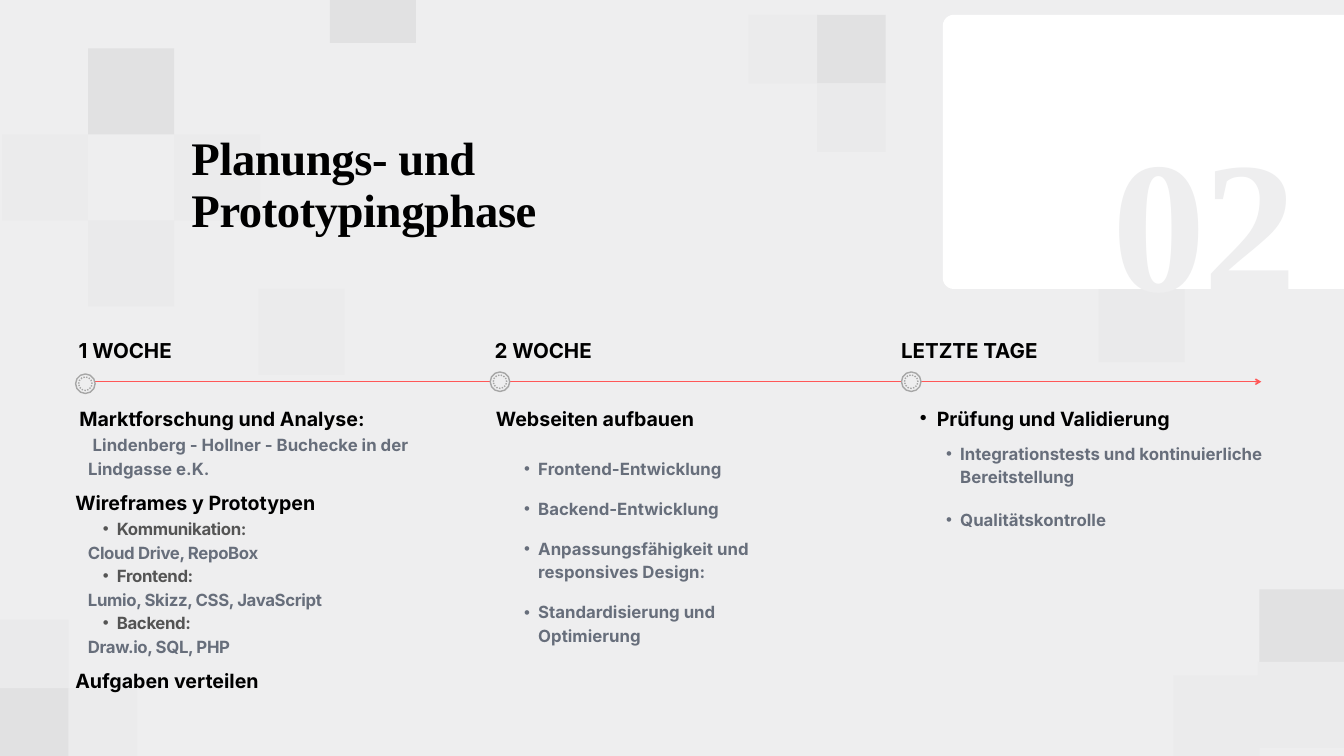
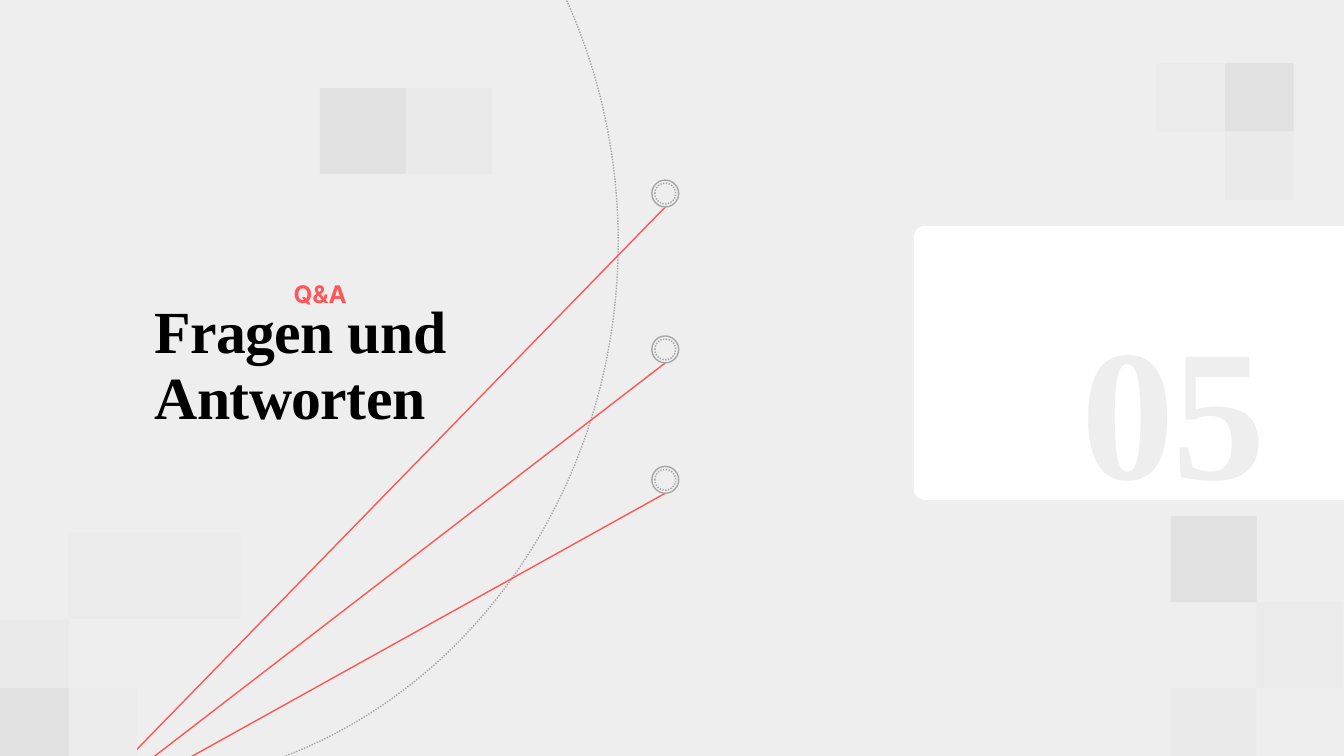
from dataclasses import dataclass, replace

from lxml import etree
from pptx import Presentation
from pptx.dml.color import RGBColor
from pptx.enum.dml import MSO_LINE_DASH_STYLE as Dash
from pptx.enum.shapes import MSO_CONNECTOR, MSO_SHAPE
from pptx.enum.text import MSO_AUTO_SIZE, PP_ALIGN
from pptx.oxml.ns import qn
from pptx.util import Inches, Pt

# Shared colours and sizes
BACKGROUND = "EEEEEF"
DARK, MID, LIGHT = "E1E1E2", "EBEBEC", "EAEAEB"
BLACK, SLATE, CHARCOAL = "000000", "676E7B", "545454"
GRAY, RED, WHITE = "A6A6A6", "FF5757", "FFFFFF"
SMALL_TILE, LARGE_TILE = 1.02, 1.28
CORNER = [(0, 1, DARK), (1, 1, MID), (0, 0, LIGHT)]
HOOK = [(1, 0, DARK), (0, 0, MID), (1, 1, LIGHT)]


@dataclass(frozen=True)
class Style:
    size: float
    line: float
    color: str
    font: str = "Inter"
    tracking: float = 0
    margin: float = 0
    indent: float = 0
    bullet: bool = False
    align: PP_ALIGN = PP_ALIGN.LEFT


# Text styles
TITLE = Style(50, 55, BLACK, "Times New Roman", -0.5)
CLOSING_TITLE = Style(64, 70.4, BLACK, "Times New Roman", -0.6)
NUMBER = Style(200, 0, BACKGROUND, "Times New Roman", -2)
EYEBROW = Style(26, 28.6, RED, align=PP_ALIGN.CENTER)
WEEK = Style(22, 30.8, BLACK)
HEADING = Style(21, 29.4, BLACK)
BULLET_HEADING = replace(HEADING, margin=0.5, indent=-0.25, bullet=True)
BODY = Style(18, 25.2, SLATE)
INDENTED_BODY = replace(BODY, indent=0.07)
BULLET = replace(BODY, margin=0.43, indent=-0.21, bullet=True)
TOOLS = replace(BODY, tracking=-0.4)
TOOL_GROUP = replace(BULLET, color=CHARCOAL, tracking=-0.4)


def rgb(value):
    return RGBColor.from_string(value)


def add_shape(slide, kind, left, top, width, height, fill=None, line=None, dash=None):
    shape = slide.shapes.add_shape(
        kind, Inches(left), Inches(top), Inches(width), Inches(height))
    shape.shadow.inherit = False
    if fill:
        shape.fill.solid()
        shape.fill.fore_color.rgb = rgb(fill)
    else:
        shape.fill.background()
    if line:
        shape.line.color.rgb = rgb(line)
        shape.line.width = Pt(1.5)
        if dash:
            shape.line.dash_style = dash
    else:
        shape.line.fill.background()
    return shape


def add_tiles(slide, left, top, size, cells):
    """Place squares on a grid; each cell is (column, row, colour)."""
    for column, row, color in cells:
        add_shape(slide, MSO_SHAPE.RECTANGLE, left + column * size,
                  top + row * size, size, size, color)


def add_ring(slide, x, y, diameter):
    for width, dash in ((diameter, None), (diameter - 0.09, Dash.ROUND_DOT)):
        add_shape(slide, MSO_SHAPE.OVAL, x - width / 2, y - width / 2,
                  width, width, BACKGROUND, GRAY, dash)


def add_line(slide, start, end, arrow=False):
    connector = slide.shapes.add_connector(
        MSO_CONNECTOR.STRAIGHT, *(Inches(value) for value in (*start, *end)))
    connector.line.color.rgb = rgb(RED)
    connector.line.width = Pt(1.5)
    if arrow:
        etree.SubElement(connector.line._get_or_add_ln(), qn("a:tailEnd"), type="arrow")
    etree.SubElement(connector._element.spPr, qn("a:effectLst"))


def format_paragraph(paragraph, style):
    properties = paragraph._p.get_or_add_pPr()
    properties.set("marL", str(Inches(style.margin)))
    properties.set("indent", str(Inches(style.indent)))
    if style.bullet:
        paragraph.level = 1
        etree.SubElement(properties, qn("a:buFont"), typeface="Arial")
        etree.SubElement(properties, qn("a:buChar"), char="•")
    paragraph.alignment = style.align
    if style.line:
        paragraph.line_spacing = Pt(style.line)
    for run in paragraph.runs:
        run.font.name = style.font
        run.font.size = Pt(style.size)
        run.font.bold = True
        run.font.color.rgb = rgb(style.color)
        if style.tracking:
            run._r.get_or_add_rPr().set("spc", str(round(style.tracking * 100)))


def add_text(slide, left, top, width, height, *lines):
    """Add a text box; each line is (text, style)."""
    box = slide.shapes.add_textbox(
        Inches(left), Inches(top), Inches(width), Inches(height))
    frame = box.text_frame
    frame.word_wrap = True
    frame.auto_size = MSO_AUTO_SIZE.SHAPE_TO_FIT_TEXT
    frame.margin_left = frame.margin_right = frame.margin_top = frame.margin_bottom = 0
    frame.text = "\n".join(text for text, _ in lines)
    for paragraph, (_, style) in zip(frame.paragraphs, lines):
        format_paragraph(paragraph, style)


def add_number_card(slide, left, top, number, number_left, number_top):
    card = add_shape(slide, MSO_SHAPE.ROUNDED_RECTANGLE, left, top, 6.75, 4.08, WHITE)
    card.adjustments[0] = 0.04
    add_text(slide, number_left, number_top, 3.2, 3.1, (number, NUMBER))


def new_slide(presentation):
    slide = presentation.slides.add_slide(presentation.slide_layouts[6])
    slide.background.fill.solid()
    slide.background.fill.fore_color.rgb = rgb(BACKGROUND)
    add_tiles_later = (0, 9.22, SMALL_TILE, CORNER)
    return slide, add_tiles_later


def build_planning(presentation):
    slide, corner = new_slide(presentation)

    # Background tiles
    add_tiles(slide, *corner)
    add_tiles(slide, 11.14, 0.22, SMALL_TILE, HOOK)
    add_tiles(slide, 0.03, 0.72, LARGE_TILE,
              [(1, 0, DARK), (2, 1, MID), (1, 2, LIGHT), (0, 1, MID)])
    add_tiles(slide, 17.46, 8.77, LARGE_TILE, [(1, 0, DARK), (0, 1, MID)])
    for left, top, color in ((4.91, -0.64, DARK), (18.72, 9.85, MID),
                             (16.35, 4.11, LIGHT), (3.85, 4.3, MID)):
        add_tiles(slide, left, top, LARGE_TILE, [(0, 0, color)])

    # Title and section number
    add_text(slide, 2.85, 1.99, 7.43, 1.54, ("Planungs- und Prototypingphase", TITLE))
    add_number_card(slide, 14.03, 0.22, "02", 16.55, 1.56)

    # Timeline
    add_line(slide, (1.31, 5.68), (18.77, 5.68), arrow=True)
    for x, y, left, week in ((1.27, 5.71, 1.17, "1 WOCHE"),
                             (7.44, 5.68, 7.36, "2 WOCHE"),
                             (13.56, 5.68, 13.41, "LETZTE TAGE")):
        add_ring(slide, x, y, 0.29)
        add_text(slide, left, 4.97, 3.5, 0.41, (week, WEEK))

    # Headings
    for left, top, heading, style in (
            (1.18, 5.99, "Marktforschung und Analyse:", HEADING),
            (1.12, 7.24, "Wireframes y Prototypen", HEADING),
            (1.12, 9.9, "Aufgaben verteilen", HEADING),
            (7.38, 5.99, "Webseiten aufbauen", HEADING),
            (13.44, 5.99, "Prüfung und Validierung", BULLET_HEADING)):
        add_text(slide, left, top, 5.35, 0.4, (heading, style))

    # First week
    add_text(slide, 1.31, 6.42, 4.85, 0.68,
             ("Lindenberg - Hollner - Buchecke in der Lindgasse e.K.", INDENTED_BODY))
    add_text(slide, 1.31, 7.67, 5.36, 2.1,
             ("Kommunikation:", TOOL_GROUP), ("Cloud Drive, RepoBox", TOOLS),
             ("Frontend:", TOOL_GROUP), ("Lumio, Skizz, CSS, JavaScript", TOOLS),
             ("Backend:", TOOL_GROUP), ("Draw.io, SQL, PHP", TOOLS))

    # Second week and last days
    for left, top, width, height, task in (
            (7.58, 6.77, 4.07, 0.34, "Frontend-Entwicklung"),
            (7.58, 7.37, 4.07, 0.34, "Backend-Entwicklung"),
            (7.58, 7.96, 4.07, 0.68, "Anpassungsfähigkeit und responsives Design:"),
            (7.58, 8.91, 4.07, 0.68, "Standardisierung und Optimierung"),
            (13.86, 6.55, 5.36, 0.68,
             "Integrationstests und kontinuierliche Bereitstellung"),
            (13.86, 7.54, 4.07, 0.34, "Qualitätskontrolle")):
        add_text(slide, left, top, width, height, (task, BULLET))


def build_questions(presentation):
    slide, corner = new_slide(presentation)

    # Dotted arc and rays
    add_shape(slide, MSO_SHAPE.OVAL, -5.63, -4.51, 14.83, 16.22,
              line=GRAY, dash=Dash.ROUND_DOT)
    for y in (2.88, 5.2, 7.14):
        add_line(slide, (9.9, y + 0.2), (0.85, 12.37))
        add_ring(slide, 9.9, y, 0.4)

    # Background tiles
    add_tiles(slide, *corner)
    add_tiles(slide, 17.21, 0.94, SMALL_TILE, HOOK)
    add_tiles(slide, 17.42, 7.68, LARGE_TILE,
              [(0, 0, DARK), (1, 1, MID), (0, 2, LIGHT)])
    add_tiles(slide, 4.76, 1.31, LARGE_TILE, [(0, 0, DARK), (1, 0, LIGHT)])
    add_tiles(slide, 1.02, 7.93, LARGE_TILE, [(0, 0, MID), (1, 0, MID)])

    # Title and section number
    add_text(slide, 2.3, 4.46, 5.85, 1.95, ("Fragen und Antworten", CLOSING_TITLE))
    add_text(slide, 3.83, 4.19, 1.87, 0.41, ("Q&A", EYEBROW))
    add_number_card(slide, 13.6, 3.36, "05", 16.09, 4.36)


def main():
    presentation = Presentation()
    presentation.slide_width = Inches(20)
    presentation.slide_height = Inches(11.25)
    build_planning(presentation)
    build_questions(presentation)
    presentation.save("out.pptx")


if __name__ == "__main__":
    main()
